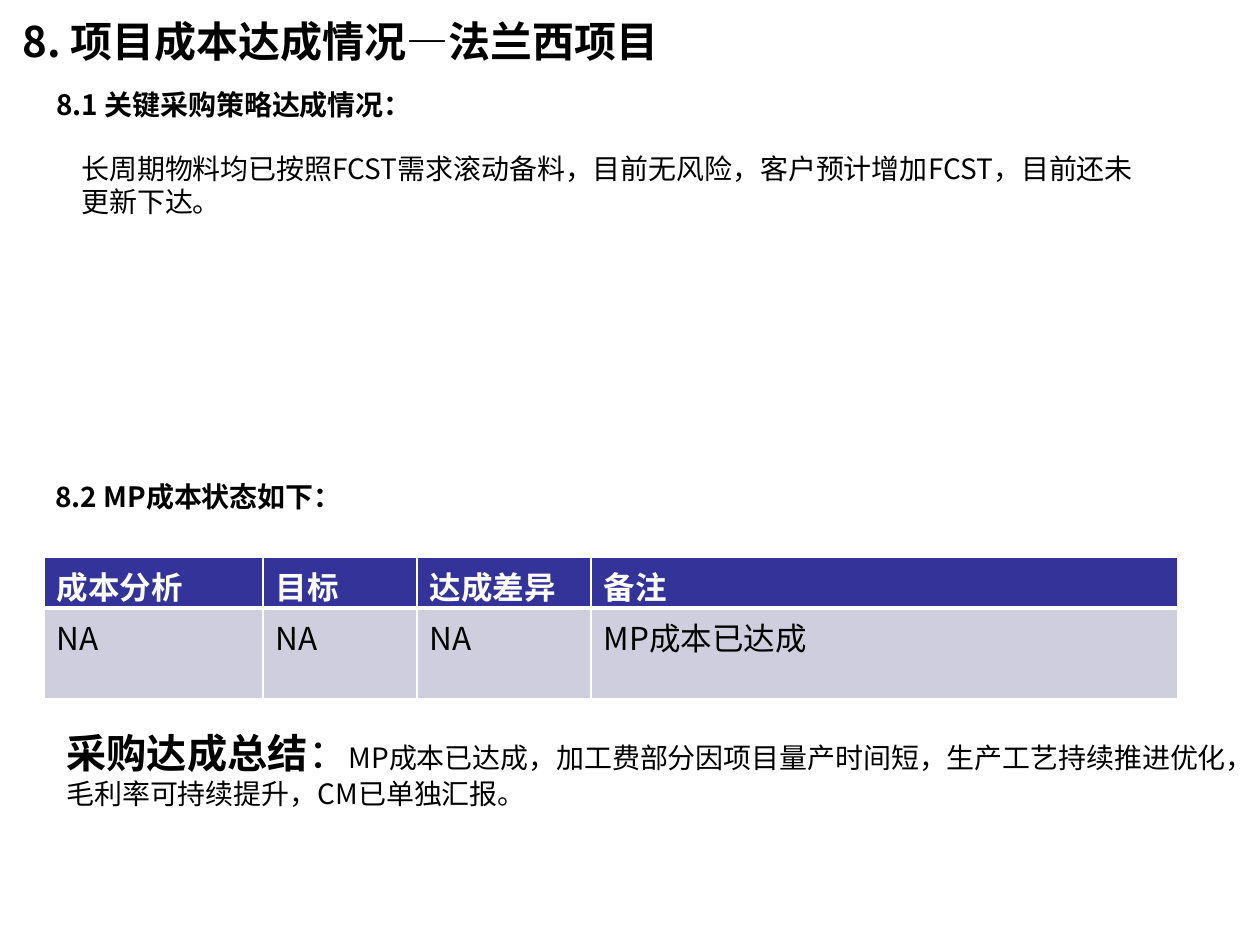
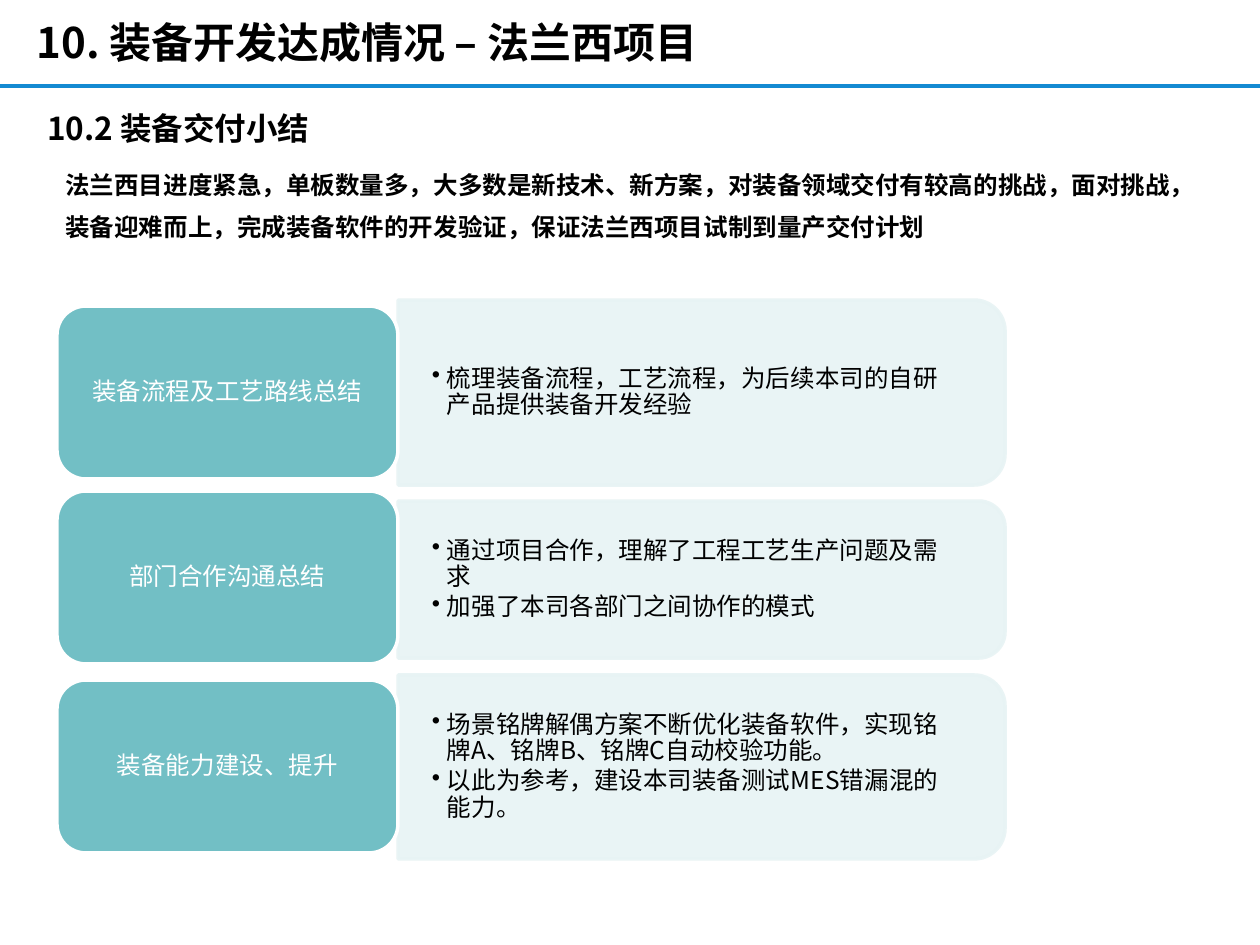
from dataclasses import dataclass

from lxml import etree
from pptx import Presentation
from pptx import util as u
from pptx.dml.color import RGBColor
from pptx.enum import shapes, text
from pptx.oxml import ns

SLIDE_W, SLIDE_H = 1260, 945
EMU_PER_PX = 914400 / 126


@dataclass(frozen=True)
class Theme:
    font: str = "Noto Sans CJK SC"
    ink: str = "000000"
    white: str = "FFFFFF"
    rule: str = "148AD2"
    table_head: str = "333399"
    table_body: str = "CECEDE"
    card: str = "72BFC5"
    panel: str = "E7F3F4"
    title_pt: int = 24
    summary_pt: int = 23
    section_pt: int = 18
    body_pt: int = 16
    small_pt: int = 14


THEME = Theme()

COST_ROWS = [
    ["成本分析", "目标", "达成差异", "备注"],
    ["NA", "NA", "NA", "MP成本已达成"],
]

# card caption, card top, panel top, panel height, panel points
DELIVERY_ROWS = [
    ("装备流程及工艺路线总结", 9, 3, 185,
     ["梳理装备流程，工艺流程，为后续本司的自研产品提供装备开发经验"]),
    ("部门合作沟通总结", 194, 204, 157,
     ["通过项目合作，理解了工程工艺生产问题及需求",
      "加强了本司各部门之间协作的模式"]),
    ("装备能力建设、提升", 383, 378, 184,
     ["场景铭牌解偶方案不断优化装备软件，实现铭牌A、铭牌B、铭牌C自动校验功能。",
      "以此为参考，建设本司装备测试MES错漏混的能力。"]),
]


def px(length):
    return u.Emu(round(length * EMU_PER_PX))


def emu_box(box):
    return [px(length) for length in box]


def child(parent, tag, **attributes):
    return etree.SubElement(parent, ns.qn(tag), attributes)


def style(paragraph, size=None, color=THEME.ink, bold=False):
    font = paragraph.font
    font.name = THEME.font
    font.size = u.Pt(size) if size else None
    font.bold = bold
    font.color.rgb = RGBColor.from_string(color)
    east_asian = etree.Element(ns.qn("a:ea"), typeface=THEME.font)
    font._element.find(ns.qn("a:latin")).addnext(east_asian)


def set_insets(frame, across, down):
    frame.margin_left = frame.margin_right = px(across)
    frame.margin_top = frame.margin_bottom = px(down)


def paint(shape, fill, line, opacity=100):
    shape.shadow.inherit = False
    shape.fill.solid()
    shape.fill.fore_color.rgb = RGBColor.from_string(fill)
    shape.line.width = u.Pt(2)
    shape.line.color.rgb = RGBColor.from_string(line)
    if opacity < 100:
        for color in shape._element.spPr.iter(ns.qn("a:srgbClr")):
            child(color, "a:alpha", val=str(opacity * 1000))


def add_title(slide, box, words):
    title = slide.shapes.title
    title.left, title.top, title.width, title.height = emu_box(box)
    frame = title.text_frame
    frame.text = words
    frame.auto_size = text.MSO_AUTO_SIZE.NONE
    frame.vertical_anchor = text.MSO_ANCHOR.TOP
    frame.paragraphs[0].alignment = text.PP_ALIGN.LEFT
    style(frame.paragraphs[0], THEME.title_pt, bold=True)


def add_text(slide, box, words, size, bold=False):
    frame = slide.shapes.add_textbox(*emu_box(box)).text_frame
    frame.word_wrap = True
    frame.text = words
    style(frame.paragraphs[0], size, bold=bold)
    return frame


def add_summary(slide, box):
    frame = add_text(slide, box, "", None)
    parts = [
        ("采购达成总结", THEME.summary_pt, True),
        ("：", THEME.summary_pt, False),
        ("MP成本已达成，加工费部分因项目量产时间短，生产工艺持续推进优化，"
         "毛利率可持续提升，CM已单独汇报。", THEME.body_pt, False),
    ]
    for words, size, bold in parts:
        run = frame.paragraphs[0].add_run()
        run.text = words
        run.font.size = u.Pt(size)
        run.font.bold = bold


def set_borders(cell, top, bottom):
    """Draw white cell edges; call before the cell is filled."""
    properties = cell._tc.get_or_add_tcPr()
    for side, points in zip("LRTB", (1, 1, top, bottom)):
        edge = child(properties, f"a:ln{side}", w=str(u.Pt(points)))
        child(child(edge, "a:solidFill"), "a:srgbClr", val=THEME.white)


def add_cost_table(slide, box):
    table = slide.shapes.add_table(2, 4, *emu_box(box)).table
    table.horz_banding = False
    for column, width in zip(table.columns, (219, 154, 174, 587)):
        column.width = px(width)
    for row, height in zip(table.rows, (51, 91)):
        row.height = px(height)

    looks = [
        (THEME.table_head, THEME.white, True, 1, 3),
        (THEME.table_body, THEME.ink, False, 3, 1),
    ]
    for row, words, look in zip(table.rows, COST_ROWS, looks):
        fill, color, bold, top, bottom = look
        for cell, value in zip(row.cells, words):
            cell.text = value
            style(cell.text_frame.paragraphs[0], THEME.section_pt, color, bold)
            set_borders(cell, top, bottom)
            cell.fill.solid()
            cell.fill.fore_color.rgb = RGBColor.from_string(fill)


def add_card(slide, box, caption):
    card = slide.shapes.add_shape(
        shapes.MSO_SHAPE.ROUNDED_RECTANGLE, *emu_box(box))
    paint(card, THEME.card, THEME.white)
    frame = card.text_frame
    frame.word_wrap = True
    frame.vertical_anchor = text.MSO_ANCHOR.MIDDLE
    set_insets(frame, 8, 4)
    frame.text = caption
    paragraph = frame.paragraphs[0]
    paragraph.alignment = text.PP_ALIGN.CENTER
    paragraph.line_spacing = 0.9
    style(paragraph, THEME.small_pt, THEME.white)


def add_panel(slide, box, points):
    """Panel rounded on its right side, made by a quarter turn."""
    x, y, w, h = box
    shift = (w - h) / 2
    panel = slide.shapes.add_shape(
        shapes.MSO_SHAPE.ROUND_2_SAME_RECTANGLE,
        *emu_box((x + shift, y - shift, h, w)))
    panel.rotation = 90
    paint(panel, THEME.panel, THEME.panel, opacity=90)

    frame = slide.shapes.add_textbox(
        *emu_box((x, y + 9, w - 9, h - 18))).text_frame
    frame.word_wrap = True
    frame.vertical_anchor = text.MSO_ANCHOR.MIDDLE
    set_insets(frame, 34, 18)
    frame.text = "\n".join(points)
    for paragraph in frame.paragraphs:
        properties = paragraph._p.get_or_add_pPr()
        properties.set("marL", str(px(15)))
        properties.set("indent", str(-px(15)))
        child(properties, "a:buChar", char="•")
        paragraph.line_spacing = 0.9
        paragraph.space_after = u.Pt(2)
        style(paragraph, THEME.small_pt)


def add_delivery_rows(slide, box):
    left, top, width, _ = box
    card_w, card_h = 341, 173
    for caption, card_top, panel_top, panel_h, points in DELIVERY_ROWS:
        add_panel(slide, (left + card_w, top + panel_top,
                          width - card_w, panel_h), points)
        add_card(slide, (left, top + card_top, card_w, card_h), caption)


def add_title_rule(slide, y):
    rule = slide.shapes.add_connector(
        shapes.MSO_CONNECTOR.STRAIGHT, *emu_box((0, y, SLIDE_W, y)))
    rule.line.width = u.Pt(2)
    rule.line.color.rgb = RGBColor.from_string(THEME.rule)
    child(rule._element.spPr, "a:effectLst")


def build_cost_slide(slide):
    add_title(slide, (10, 9, 861, 63), "8. 项目成本达成情况—法兰西项目")
    add_text(slide, (44, 81, 1162, 47), "8.1 关键采购策略达成情况：",
             THEME.body_pt, bold=True)
    add_text(slide, (69, 145, 1086, 81),
             "长周期物料均已按照FCST需求滚动备料，目前无风险，"
             "客户预计增加FCST，目前还未更新下达。", THEME.body_pt)
    add_text(slide, (43, 473, 1162, 47), "8.2 MP成本状态如下：",
             THEME.body_pt, bold=True)
    add_cost_table(slide, (44, 557, 1134, 142))
    add_summary(slide, (54, 722, 1206, 96))


def build_delivery_slide(slide):
    add_title_rule(slide, 86)
    add_title(slide, (24, 10, 702, 63), "10. 装备开发达成情况 – 法兰西项目")
    add_text(slide, (35, 103, 417, 50), "10.2 装备交付小结",
             THEME.section_pt, bold=True)
    overview = add_text(
        slide, (53, 151, 1154, 92),
        "法兰西目进度紧急，单板数量多，大多数是新技术、新方案，"
        "对装备领域交付有较高的挑战，面对挑战，装备迎难而上，"
        "完成装备软件的开发验证，保证法兰西项目试制到量产交付计划",
        THEME.small_pt, bold=True)
    overview.paragraphs[0].line_spacing = u.Pt(24)
    add_delivery_rows(slide, (57, 297, 948, 562))


def main():
    deck = Presentation()
    deck.slide_width, deck.slide_height = px(SLIDE_W), px(SLIDE_H)
    title_only = deck.slide_layouts[5]
    for build in (build_cost_slide, build_delivery_slide):
        build(deck.slides.add_slide(title_only))
    deck.save("out.pptx")


if __name__ == "__main__":
    main()
